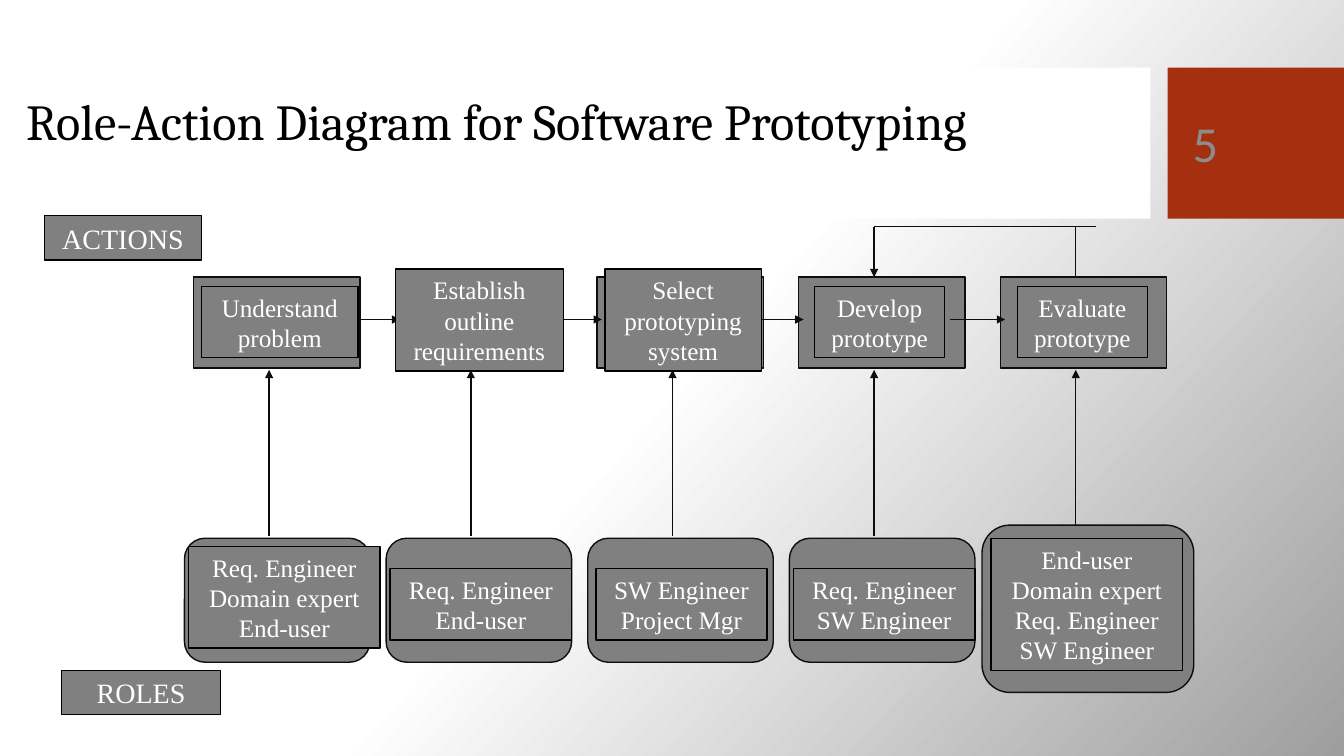
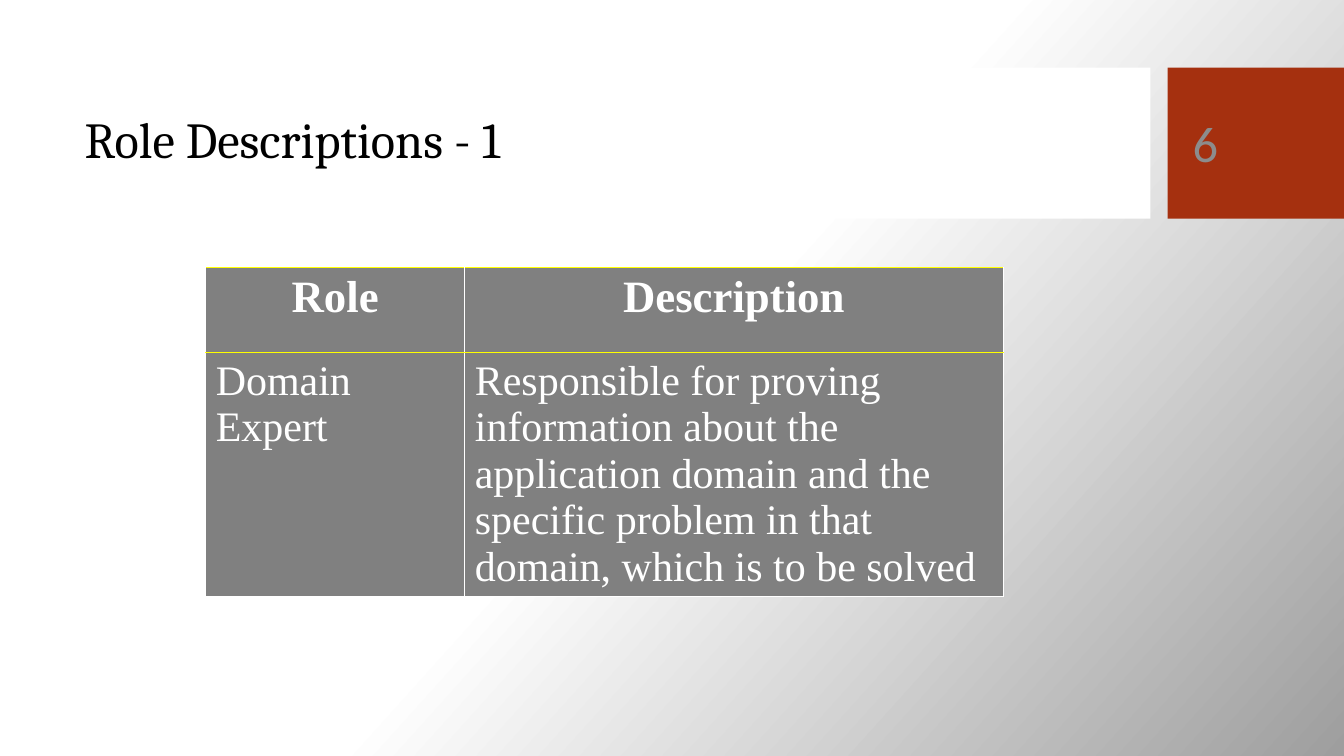
"""Build two slides on software prototyping roles."""
from dataclasses import dataclass

from lxml import etree
from pptx import Presentation
from pptx import util as u
from pptx.dml.color import RGBColor
from pptx.enum import shapes, text
from pptx.oxml import ns


@dataclass(frozen=True)
class Theme:
    white: str = "FFFFFF"
    shade: str = "9E9E9E"
    accent: str = "A5300F"
    grey: str = "808080"
    number: str = "8C8C8C"
    ink: str = "0D0D0D"
    black: str = "000000"
    yellow: str = "FFFF00"
    serif: str = "Times New Roman"
    heading: str = "Cambria"
    sans: str = "Calibri"
    title_size: int = 36
    header_size: int = 32
    cell_size: int = 30
    tag_size: int = 20
    label_size: int = 18


class Slides:
    def __init__(self, theme):
        self.theme = theme
        self.deck = Presentation()
        self.deck.slide_width, self.deck.slide_height = u.Inches(13.33), u.Inches(7.5)
        self.layout = self.deck.slide_layouts[5]
        self.page = None

    def start(self, title, number, at):
        self.page = self.deck.slides.add_slide(self.layout)
        if len(self.deck.slides) == 1:
            self.dress_layout()
        heading = self.page.shapes.title
        heading.left, heading.top, heading.width, heading.height = map(u.Inches, at)
        size = self.theme.title_size
        self.set_frame(heading.text_frame)
        self.set_text(heading.text_frame, [title], size, self.theme.heading,
                      self.theme.black, text.PP_ALIGN.LEFT, line_spacing=0.9)
        box = self.page.shapes.add_textbox(*map(u.Inches, (11.73, 0.82, 1.26, 1.19)))
        self.set_frame(box.text_frame)
        self.set_text(box.text_frame, [number], size, self.theme.sans,
                      self.theme.number, text.PP_ALIGN.LEFT)

    def dress_layout(self):
        fill = self.layout.background.fill
        fill.gradient()
        fill.gradient_angle = 318
        stops = ((0.5, self.theme.white), (1, self.theme.shade))
        for stop, (position, colour) in zip(fill.gradient_stops, stops):
            stop.position = position
            stop.color.rgb = RGBColor.from_string(colour)
        for at, colour in (((0, 0.67, 11.41, 1.5), self.theme.white),
                           ((11.58, 0.67, 1.75, 1.5), self.theme.accent)):
            band = self.box(at, colour)
            self.layout.shapes._spTree.insert(2, band._element)

    def set_frame(self, frame, wrap=True):
        for name, value in dict(word_wrap=wrap, vertical_anchor=text.MSO_ANCHOR.MIDDLE,
                                auto_size=text.MSO_AUTO_SIZE.NONE).items():
            setattr(frame, name, value)

    def set_text(self, frame, lines, size, font, colour, align=text.PP_ALIGN.CENTER,
                 bold=False, line_spacing=None):
        for index, line in enumerate(lines):
            para = frame.add_paragraph() if index else frame.paragraphs[0]
            para.alignment = align
            para.line_spacing = line_spacing
            span = para.add_run()
            span.text = line
            for name, value in dict(name=font, size=u.Pt(size), bold=bold).items():
                setattr(span.font, name, value)
            span.font.color.rgb = RGBColor.from_string(colour)

    def box(self, at, fill, line=None, kind=shapes.MSO_SHAPE.RECTANGLE):
        box = self.page.shapes.add_shape(kind, *map(u.Inches, at))
        box.shadow.inherit = False
        box.fill.solid()
        box.fill.fore_color.rgb = RGBColor.from_string(fill)
        if line:
            box.line.color.rgb = RGBColor.from_string(line)
            box.line.width = u.Pt(1)
        else:
            box.line.fill.background()
        return box

    def frame(self, at, kind=shapes.MSO_SHAPE.RECTANGLE):
        self.box(at, self.theme.grey, self.theme.ink, kind)

    def label(self, at, lines, size=None):
        box = self.box(at, self.theme.grey, self.theme.black)
        self.set_frame(box.text_frame, wrap=False)
        self.set_text(box.text_frame, lines, size or self.theme.label_size,
                      self.theme.serif, self.theme.white)

    def line(self, start, end, arrow=True):
        line = self.page.shapes.add_connector(
            shapes.MSO_CONNECTOR.STRAIGHT, *map(u.Inches, start + end))
        line.line.color.rgb = RGBColor.from_string(self.theme.ink)
        line.line.width = u.Pt(1)
        properties = line._element.spPr
        if arrow:
            etree.SubElement(properties.find(ns.qn("a:ln")), ns.qn("a:tailEnd"),
                             type="triangle")
        etree.SubElement(properties, ns.qn("a:effectLst"))

    def border(self, cell, side, colour):
        edge = etree.Element(ns.qn(f"a:{side}"), w=str(u.Pt(1)))
        fill = etree.SubElement(edge, ns.qn("a:solidFill"))
        etree.SubElement(fill, ns.qn("a:srgbClr"), val=colour)
        properties = cell._tc.get_or_add_tcPr()
        properties.insert(len(properties) - 1, edge)

    def table(self, at, widths, heights, rows):
        table = self.page.shapes.add_table(
            len(rows), len(widths), *map(u.Inches, at),
            u.Inches(sum(widths)), u.Inches(sum(heights))).table
        for column, width in zip(table.columns, widths):
            column.width = u.Inches(width)
        for index, (row, height) in enumerate(zip(table.rows, heights)):
            row.height = u.Inches(height)
            header = index == 0
            size = self.theme.header_size if header else self.theme.cell_size
            align = text.PP_ALIGN.CENTER if header else text.PP_ALIGN.LEFT
            bottom = self.theme.yellow if header else self.theme.white
            for cell, words in zip(row.cells, rows[index]):
                cell.fill.solid()
                cell.fill.fore_color.rgb = RGBColor.from_string(self.theme.grey)
                self.set_text(cell.text_frame, [words], size, self.theme.serif,
                              self.theme.white, align, header)
                for side, colour in (("lnL", self.theme.white), ("lnR", self.theme.white),
                                     ("lnT", self.theme.yellow), ("lnB", bottom)):
                    self.border(cell, side, colour)


def role_action_diagram(slides):
    slides.start("Role-Action Diagram for Software Prototyping", "5", (0.16, 0.64, 10.51, 1.18))
    pitch = 2
    actions = [
        ((2, 2.84, 1.55, 0.71), ["Understand", "problem"]),
        ((3.92, 2.67, 1.67, 1.01), ["Establish", "outline", "requirements"]),
        ((6, 2.67, 1.55, 1.01), ["Select", "prototyping", "system"]),
        ((8.08, 2.84, 1.29, 0.71), ["Develop", "prototype"]),
        ((10.09, 2.84, 1.29, 0.71), ["Evaluate", "prototype"]),
    ]
    roles = [
        ((1.87, 5.42, 1.9, 1.01), ["Req. Engineer", "Domain expert", "End-user"]),
        ((3.87, 5.64, 1.8, 0.71), ["Req. Engineer", "End-user"]),
        ((5.91, 5.64, 1.7, 0.71), ["SW Engineer", "Project Mgr"]),
        ((7.87, 5.64, 1.8, 0.71), ["Req. Engineer", "SW Engineer"]),
        ((9.83, 5.34, 1.9, 1.31),
         ["End-user", "Domain expert", "Req. Engineer", "SW Engineer"]),
    ]
    last = len(actions) - 1
    for index in range(len(actions)):
        slides.frame((1.92 + pitch * index, 2.75, 1.65, 0.9))
    for index in range(len(actions)):
        shift = pitch * index
        if index < last:
            slides.line((3.42 + shift, 3.17), (3.97 + shift, 3.17))
        slides.line((2.67 + shift, 5.32), (2.67 + shift, 3.67))
    slides.line((10.67, 2.75), (10.67, 2.25), arrow=False)
    slides.line((10.87, 2.25), (8.67, 2.25), arrow=False)
    slides.line((8.67, 2.25), (8.67, 2.75))
    for at, lines in actions:
        slides.label(at, lines)
    for index, (at, lines) in enumerate(roles):
        outline = (1.83 + pitch * index, 5.34, 1.84, 1.23)
        if index == last:
            outline = (9.74, 5.21, 2.1, 1.66)
        slides.frame(outline, shapes.MSO_SHAPE.ROUNDED_RECTANGLE)
        slides.label(at, lines)
    slides.label((0.44, 2.14, 1.56, 0.44), ["ACTIONS"], slides.theme.tag_size)
    slides.label((0.61, 6.65, 1.58, 0.44), ["ROLES"], slides.theme.tag_size)


def role_descriptions(slides):
    slides.start("Role Descriptions - 1", "6", (0.74, 0.82, 10.51, 1.18))
    slides.table((2.04, 2.65), (2.57, 5.34), (0.85, 2.42), [
        ("Role", "Description"),
        ("Domain Expert",
         "Responsible for proving information about the application domain and the "
         "specific problem in that domain, which is to be solved"),
    ])


slides = Slides(Theme())
role_action_diagram(slides)
role_descriptions(slides)
slides.deck.save("out.pptx")
